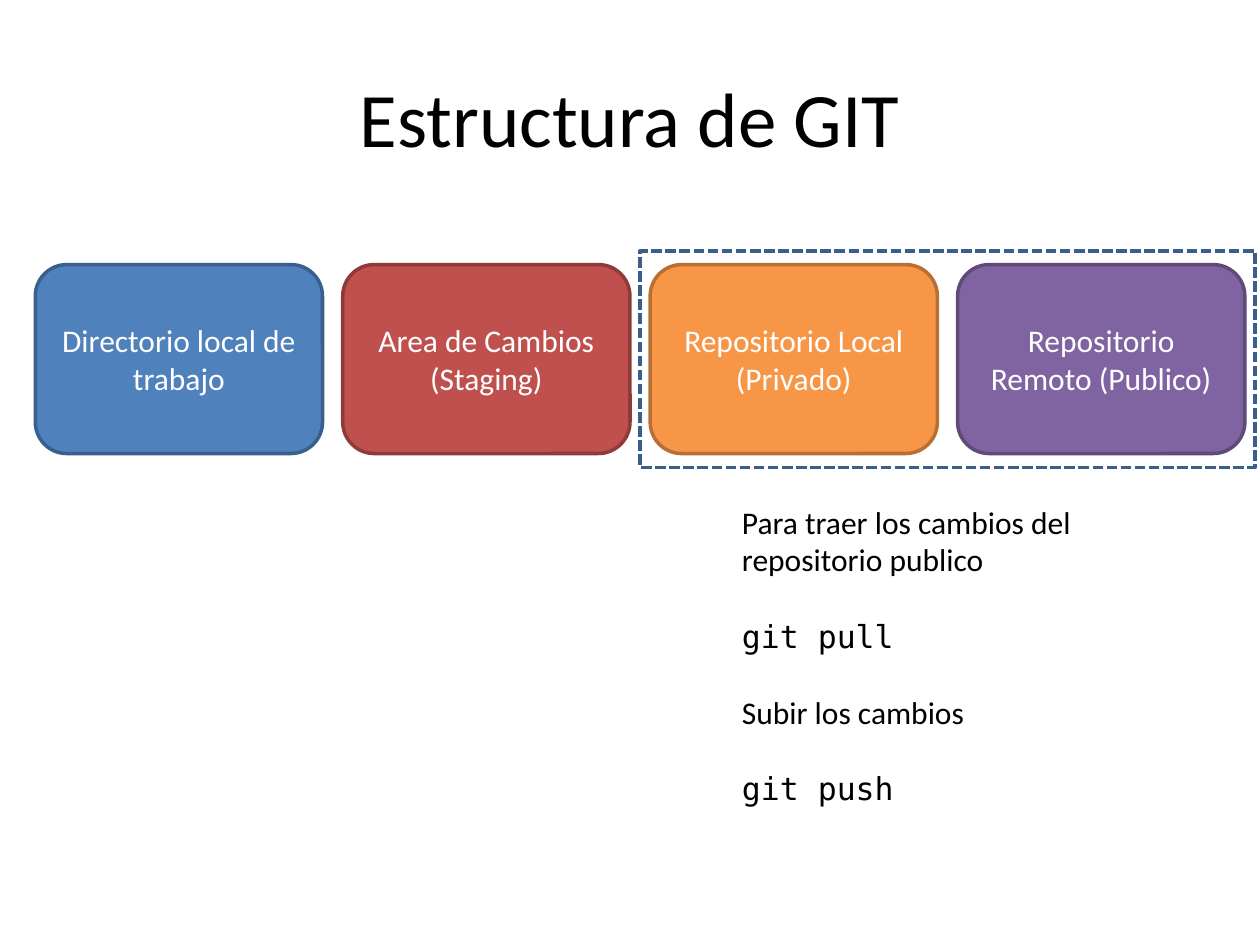
from pptx import Presentation
from pptx.dml.color import RGBColor
from pptx.enum.dml import MSO_LINE
from pptx.enum.shapes import MSO_SHAPE
from pptx.enum.text import MSO_ANCHOR, PP_ALIGN
from pptx.util import Inches, Pt

ROUNDED, RECT = MSO_SHAPE.ROUNDED_RECTANGLE, MSO_SHAPE.RECTANGLE
DASH = MSO_LINE.SQUARE_DOT
CENTER, LEFT, MIDDLE = PP_ALIGN.CENTER, PP_ALIGN.LEFT, MSO_ANCHOR.MIDDLE
BLACK = RGBColor(0x00, 0x00, 0x00)
WHITE = RGBColor(0xFF, 0xFF, 0xFF)
BLUE, DARK_BLUE = RGBColor(0x4F, 0x81, 0xBD), RGBColor(0x3A, 0x5F, 0x8C)
RED, DARK_RED = RGBColor(0xC0, 0x50, 0x4D), RGBColor(0x8E, 0x3B, 0x39)
ORANGE, DARK_ORANGE = RGBColor(0xF7, 0x96, 0x46), RGBColor(0xB7, 0x6F, 0x34)
PURPLE, DARK_PURPLE = RGBColor(0x80, 0x64, 0xA2), RGBColor(0x5F, 0x4A, 0x78)
SANS, MONO = "Calibri", "DejaVu Sans Mono"

STAGES = [
    ("Directorio local de trabajo", BLUE, DARK_BLUE),
    ("Area de Cambios (Staging)", RED, DARK_RED),
    ("Repositorio Local (Privado)", ORANGE, DARK_ORANGE),
    ("Repositorio Remoto (Publico)", PURPLE, DARK_PURPLE),
]
COMMANDS = [
    ("Para traer los cambios del repositorio publico", SANS),
    ("git pull", MONO),
    ("Subir los cambios", SANS),
    ("git push", MONO),
]
GAP = 0.16


def write(p, text, color, size=18, font=SANS, align=CENTER):
    p.alignment = align
    r = p.add_run()
    r.text = text
    r.font.color.rgb = color
    for name, value in {"name": font, "size": Pt(size)}.items():
        setattr(r.font, name, value)


def add_title(s, box, text):
    sp = s.shapes.title
    for name, value in zip(("left", "top", "width", "height"), box):
        setattr(sp, name, Inches(value))
    sp.text_frame.vertical_anchor = MIDDLE
    write(sp.text_frame.paragraphs[0], text, BLACK, size=44)


def add_box(s, kind, box, line, fill=None):
    sp = s.shapes.add_shape(kind, *map(Inches, box))
    sp.shadow.inherit = False
    if fill is None:
        sp.fill.background()
    else:
        sp.fill.solid()
        sp.fill.fore_color.rgb = fill
    sp.line.color.rgb = line
    sp.line.width = Pt(2)
    return sp


def add_stages(s, box):
    left, top, width, height = box
    w = (width - GAP * (len(STAGES) - 1)) / len(STAGES)
    for i, (text, fill, line) in enumerate(STAGES):
        sp = add_box(s, ROUNDED, (left + i * (w + GAP), top, w, height), line, fill)
        tf = sp.text_frame
        tf.word_wrap, tf.vertical_anchor = True, MIDDLE
        write(tf.paragraphs[0], text, WHITE)
    start = left + 2 * (w + GAP)
    frame = (start - GAP / 2, top - 0.11, 2 * (w + GAP), height + 0.22)
    add_box(s, RECT, frame, DARK_BLUE).line.dash_style = DASH


def add_commands(s, box):
    tf = s.shapes.add_textbox(*map(Inches, box)).text_frame
    tf.word_wrap = True
    for i, (text, font) in enumerate(COMMANDS):
        p = tf.add_paragraph() if i else tf.paragraphs[0]
        p.space_before = Pt(22 if i else 0)
        write(p, text, BLACK, font=font, align=LEFT)


def main():
    prs = Presentation()
    prs.slide_width, prs.slide_height = Inches(10), Inches(7.5)
    s = prs.slides.add_slide(prs.slide_layouts.get_by_name("Title Only"))
    add_title(s, (0.5, 0.3, 9, 1.25), "Estructura de GIT")
    add_stages(s, (0.28, 2.1, 9.6, 1.5))
    add_commands(s, (5.79, 3.94, 3.82, 2.83))
    prs.save("out.pptx")


if __name__ == "__main__":
    main()
